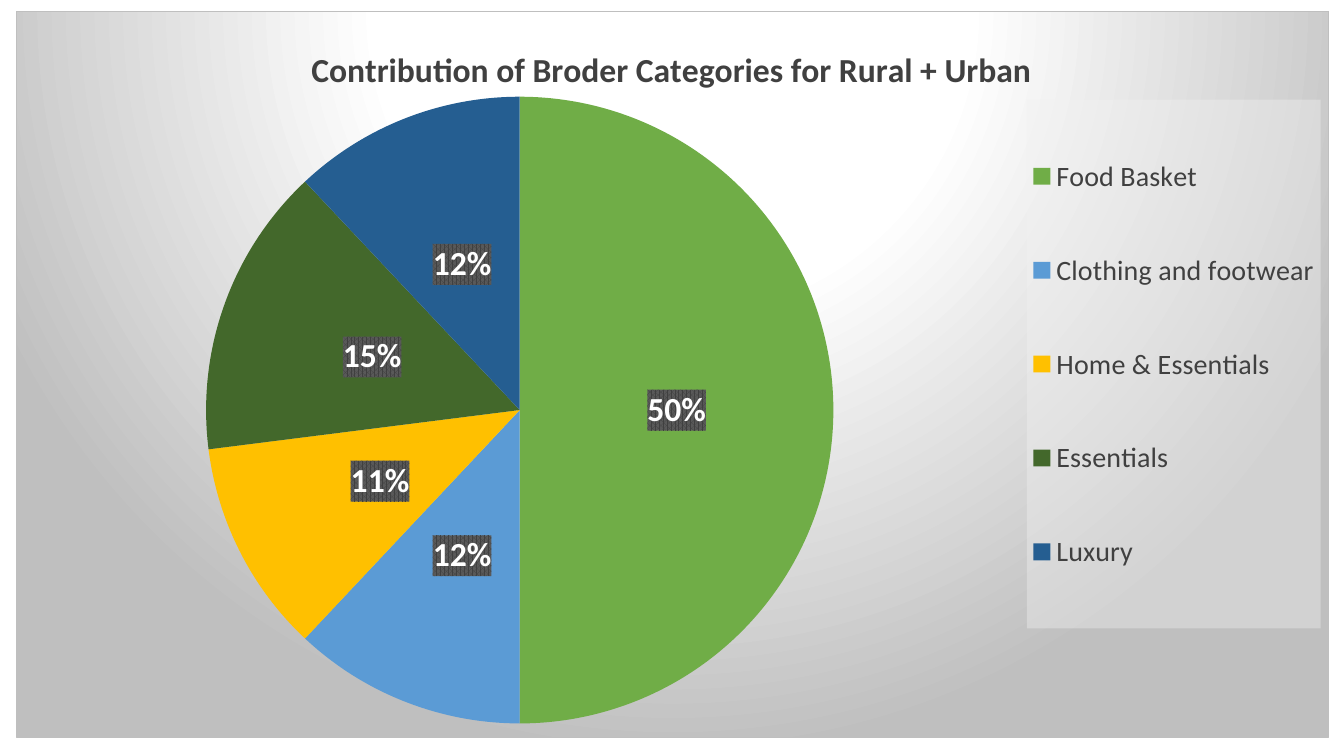
from dataclasses import dataclass

from lxml import etree
from pptx import Presentation
from pptx import util as u
from pptx.chart.data import CategoryChartData
from pptx.dml.color import RGBColor
from pptx.enum import chart as charts
from pptx.oxml.ns import qn

DRAWING_NS = "http://schemas.openxmlformats.org/drawingml/2006/main"


@dataclass(frozen=True)
class Theme:
    font: str = "Calibri"
    text: str = "404040"
    label: str = "FFFFFF"
    label_front: str = "404040"
    label_back: str = "595959"
    panel: str = "F2F2F2"
    light: str = "FFFFFF"
    dark: str = "BFBFBF"
    slices: tuple = ("70AD47", "5B9BD5", "FFC000", "43682B", "255E91")
    base_size: int = 10
    legend_size: int = 20
    heading_size: int = 24


def color_xml(value, alpha=100):
    return f'<a:srgbClr val="{value}"><a:alpha val="{alpha * 1000}"/></a:srgbClr>'


def shape_properties(content):
    """Return a c:spPr element that holds the given fill and line markup."""
    properties = etree.Element(qn("c:spPr"), nsmap={"a": DRAWING_NS})
    wrapper = etree.fromstring(f'<w xmlns:a="{DRAWING_NS}">{content}</w>')
    properties.extend(list(wrapper))
    return properties


def place(element, after=None, inner=False, **shares):
    """Set a manual layout in shares of the chart, after the named child."""
    for layout in element.findall(qn("c:layout")):
        element.remove(layout)
    layout = etree.Element(qn("c:layout"))
    manual = etree.SubElement(layout, qn("c:manualLayout"))
    settings = {"layoutTarget": "inner"} if inner else {}
    settings.update(xMode="edge", yMode="edge", **shares)
    for name, value in settings.items():
        etree.SubElement(manual, qn(f"c:{name}")).set("val", str(value))
    if after:
        element.find(qn(after)).addnext(layout)
    else:
        element.insert(0, layout)


class Deck:
    def __init__(self, theme):
        self.theme = theme
        self.presentation = Presentation()
        self.presentation.slide_width = u.Inches(13.33)
        self.presentation.slide_height = u.Inches(7.5)
        self.slide = self.presentation.slides.add_slide(
            self.presentation.slide_layouts[6])

    def style_font(self, font, size, color, bold=False):
        font.name = self.theme.font
        font.size = u.Pt(size)
        font.bold = bold
        font.color.rgb = RGBColor.from_string(color)

    def pie(self, heading, shares, left, top, width, height):
        """Add a pie chart; its frame is given in shares of the slide."""
        data = CategoryChartData()
        data.categories = list(shares)
        data.add_series("Series 1", list(shares.values()))
        slide_width = self.presentation.slide_width
        slide_height = self.presentation.slide_height
        chart = self.slide.shapes.add_chart(
            charts.XL_CHART_TYPE.PIE,
            int(left * slide_width), int(top * slide_height),
            int(width * slide_width), int(height * slide_height), data).chart
        self.style_font(chart.font, self.theme.base_size, "000000")
        self.backdrop(chart)
        self.heading(chart, heading)
        self.slices(chart)
        self.labels(chart.plots[0])
        self.legend(chart)

    def backdrop(self, chart):
        stops = ((0, self.theme.light), (39, self.theme.light), (100, self.theme.dark))
        stops_xml = "".join(f'<a:gs pos="{position * 1000}">{color_xml(color)}</a:gs>'
                            for position, color in stops)
        chart.element.find(qn("c:chart")).addnext(shape_properties(
            f'<a:gradFill><a:gsLst>{stops_xml}</a:gsLst><a:path path="circle">'
            '<a:fillToRect l="50000" t="-80000" r="50000" b="180000"/></a:path></a:gradFill>'
            f'<a:ln w="{u.Pt(0.75)}"><a:solidFill>{color_xml(self.theme.dark)}'
            '</a:solidFill></a:ln>'))

    def heading(self, chart, heading):
        chart.has_title = True
        title = chart.chart_title
        title.include_in_layout = False
        paragraph = title.text_frame.paragraphs[0]
        paragraph.text = heading
        self.style_font(paragraph.font, self.theme.heading_size, self.theme.text, True)
        place(title._element, after="c:tx", x=0.22, y=0.04)

    def slices(self, chart):
        plot = chart.plots[0]
        plot.vary_by_categories = True
        for index, color in enumerate(self.theme.slices):
            fill = plot.series[0].points[index].format.fill
            fill.solid()
            fill.fore_color.rgb = RGBColor.from_string(color)
        plot_area = chart.element.find(qn("c:chart")).find(qn("c:plotArea"))
        place(plot_area, inner=True, x=0.144, y=0.117, w=0.479, h=0.864)

    def labels(self, plot):
        plot.has_data_labels = True
        labels = plot.data_labels
        labels.show_percentage = True
        labels.show_value = False
        labels.number_format = "0%"
        labels.number_format_is_linked = False
        labels.position = charts.XL_LABEL_POSITION.CENTER
        self.style_font(labels.font, self.theme.heading_size, self.theme.label, True)
        labels._element.find(qn("c:txPr")).addprevious(shape_properties(
            '<a:pattFill prst="pct75">'
            f'<a:fgClr>{color_xml(self.theme.label_front)}</a:fgClr>'
            f'<a:bgClr>{color_xml(self.theme.label_back)}</a:bgClr></a:pattFill>'))

    def legend(self, chart):
        chart.has_legend = True
        legend = chart.legend
        legend.position = charts.XL_LEGEND_POSITION.RIGHT
        legend.include_in_layout = False
        self.style_font(legend.font, self.theme.legend_size, self.theme.text)
        element = legend._element
        place(element, after="c:legendPos", x=0.77, y=0.121, w=0.224, h=0.729)
        element.find(qn("c:txPr")).addprevious(shape_properties(
            f'<a:solidFill>{color_xml(self.theme.panel, 39)}</a:solidFill>'))


def main():
    deck = Deck(Theme())
    deck.pie(
        "Contribution of Broder Categories for Rural + Urban",
        {"Food Basket": 50, "Clothing and footwear": 12, "Home & Essentials": 11,
         "Essentials": 15, "Luxury": 12},
        left=0.012, top=0.015, width=0.977, height=0.961)
    deck.presentation.save("out.pptx")


if __name__ == "__main__":
    main()
